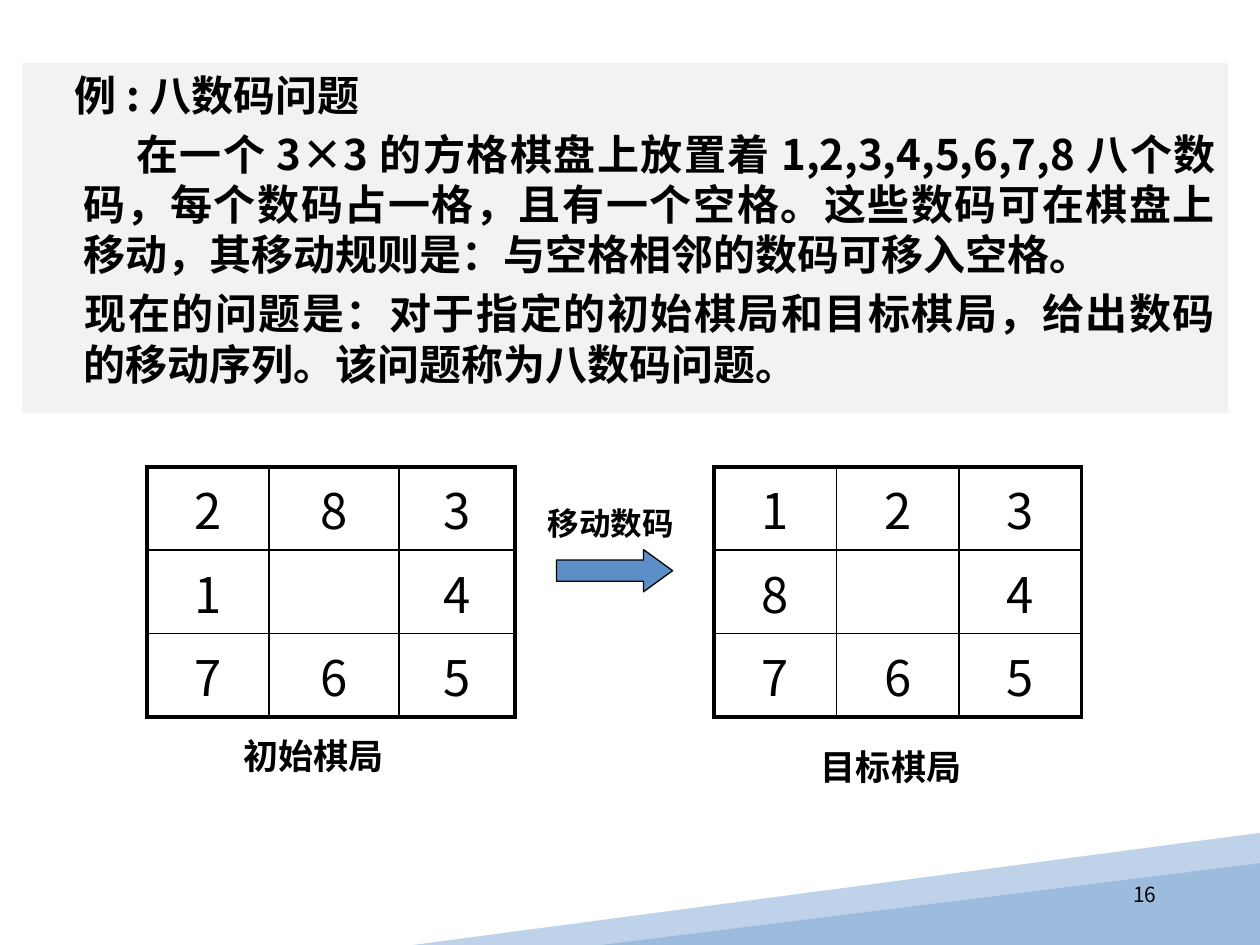
import pptx
import pptx.util
import pptx.oxml
import pptx.oxml.ns
import pptx.dml.color
import pptx.enum.shapes
import pptx.enum.text

Cm = pptx.util.Cm
Pt = pptx.util.Pt
RGB = pptx.dml.color.RGBColor
SHAPE = pptx.enum.shapes.MSO_SHAPE
ALIGN = pptx.enum.text.PP_ALIGN
ANCHOR = pptx.enum.text.MSO_ANCHOR

BLACK = RGB(0x00, 0x00, 0x00)
GREY = RGB(0xF2, 0xF2, 0xF2)
PALE = RGB(0xBE, 0xD2, 0xE9)
SKY = RGB(0x9D, 0xBC, 0xDD)
BLUE = RGB(0x5C, 0x8F, 0xC7)

FONT = "Noto Sans CJK SC"
THIN, THICK = 1, 2.25
ROW = 1.68

# text, offset of the first line from the left margin in cm
BODY = [
    ("例:八数码问题", -0.18),
    ("在一个3×3的方格棋盘上放置着1,2,3,4,5,6,7,8八个数码，每个数码占一格，"
     "且有一个空格。这些数码可在棋盘上移动，其移动规则是：与空格相邻的数码可移入空格。", 1.07),
    ("现在的问题是：对于指定的初始棋局和目标棋局，给出数码的移动序列。"
     "该问题称为八数码问题。", 0.03),
]
# left edge, column widths, digits by row
BOARDS = [
    (2.96, [2.46, 2.62, 2.34], ["283", "1 4", "765"]),
    (14.39, [2.47, 2.47, 2.47], ["123", "8 4", "765"]),
]
LABELS = [
    ("初始棋局", 4.65, 14.68, 20),
    ("目标棋局", 16.3, 14.91, 20),
    ("移动数码", 10.79, 10.03, 18),
]


def put(item, values):
    for name, value in values.items():
        setattr(item, name, value)


def style(para, size, bold=False, **values):
    """Format a paragraph and give its runs the East Asian font too."""
    put(para, values)
    look = {"name": FONT, "size": Pt(size), "bold": bold}
    for run in para.runs:
        put(run.font, look)
        run.font.color.rgb = BLACK
        props = run._r.get_or_add_rPr()
        node = pptx.oxml.parse_xml(
            f'<a:ea {pptx.oxml.ns.nsdecls("a")} typeface="{FONT}"/>')
        props.find(pptx.oxml.ns.qn("a:latin")).addnext(node)


def paint(shape, fill, line=None):
    shape.shadow.inherit = False
    shape.fill.solid()
    shape.fill.fore_color.rgb = fill
    if line is None:
        shape.line.fill.background()
    else:
        shape.line.color.rgb = line
        shape.line.width = Pt(0.75)


def add_wedge(slide):
    corners = [(25.4, 16.79), (25.4, 18.9), (17.09, 19.05), (8.33, 19.05)]
    spots = [(Cm(x), Cm(y)) for x, y in corners]
    build = slide.shapes.build_freeform(*spots[0])
    build.add_line_segments(spots[1:], close=True)
    paint(build.convert_to_shape(), PALE)


def add_shape(slide, kind, box, ratios, fill, line=None):
    shape = slide.shapes.add_shape(kind, *map(Cm, box))
    for i, ratio in enumerate(ratios):
        shape.adjustments[i] = ratio
    paint(shape, fill, line)


def fill_body(holder):
    put(holder, {"left": Cm(0.45), "top": Cm(1.27),
                 "width": Cm(24.31), "height": Cm(7.06)})
    holder.fill.solid()
    holder.fill.fore_color.rgb = GREY
    frame = holder.text_frame
    put(frame, {"word_wrap": True, "vertical_anchor": ANCHOR.TOP,
                "auto_size": pptx.enum.text.MSO_AUTO_SIZE.NONE})
    for i, (text, shift) in enumerate(BODY):
        para = frame.paragraphs[0] if i == 0 else frame.add_paragraph()
        para.text = text
        props = para._p.get_or_add_pPr()
        props.set("marL", str(Cm(0.97)))
        props.set("indent", str(Cm(shift)))
        props.append(pptx.oxml.parse_xml(
            f'<a:buNone {pptx.oxml.ns.nsdecls("a")}/>'))
        style(para, 24, True, alignment=ALIGN.JUSTIFY,
              space_before=Pt(4.8 if i else 0))


def add_text(slide, text, box, size, bold, anchor=ANCHOR.TOP, **values):
    frame = slide.shapes.add_textbox(*map(Cm, box)).text_frame
    put(frame, {"word_wrap": True, "vertical_anchor": anchor})
    para = frame.paragraphs[0]
    para.text = text
    style(para, size, bold, **values)


def add_edge(cell, side, width):
    cell._tc.get_or_add_tcPr().append(pptx.oxml.parse_xml(
        f'<a:ln{side} {pptx.oxml.ns.nsdecls("a")} w="{Pt(width)}">'
        f'<a:solidFill><a:srgbClr val="{BLACK}"/></a:solidFill></a:ln{side}>'))


def add_board(slide, left, widths, lines):
    """Draw a 3×3 board with a thick rim and thin inner lines."""
    count = len(lines)
    frame = slide.shapes.add_table(count, count, Cm(left), Cm(9.41),
                                   Cm(sum(widths)), Cm(ROW * count))
    table = frame.table
    put(table, {"first_row": False, "horz_banding": False})
    for i, width in enumerate(widths):
        table.columns[i].width = Cm(width)
        table.rows[i].height = Cm(ROW)
    last = count - 1
    for i, line in enumerate(lines):
        for j, digit in enumerate(line):
            cell = table.cell(i, j)
            rims = {"L": j == 0, "R": j == last, "T": i == 0, "B": i == last}
            for side, rim in rims.items():
                add_edge(cell, side, THICK if rim else THIN)
            cell.fill.background()
            cell.text = digit.strip()
            style(cell.text_frame.paragraphs[0], 28, alignment=ALIGN.CENTER)


def main():
    deck = pptx.Presentation()
    put(deck, {"slide_width": Cm(25.4), "slide_height": Cm(19.05)})
    slide = deck.slides.add_slide(deck.slide_layouts[1])
    title = slide.shapes.title._element
    title.getparent().remove(title)

    add_wedge(slide)
    add_shape(slide, SHAPE.ISOSCELES_TRIANGLE, (12.12, 17.4, 13.28, 1.65),
              [1], SKY)
    add_text(slide, "16", (17.92, 17.74, 5.64, 0.66), 11.9, False,
             ANCHOR.BOTTOM, alignment=ALIGN.RIGHT, line_spacing=0.8)
    fill_body(slide.placeholders[1])
    for board in BOARDS:
        add_board(slide, *board)
    add_shape(slide, SHAPE.RIGHT_ARROW, (11.22, 11.08, 2.34, 0.85),
              [0.5, 0.69], BLUE, BLACK)
    for text, left, top, size in LABELS:
        add_text(slide, text, (left, top, 3.81, 1.1), size, True)
    deck.save("out.pptx")


if __name__ == "__main__":
    main()
